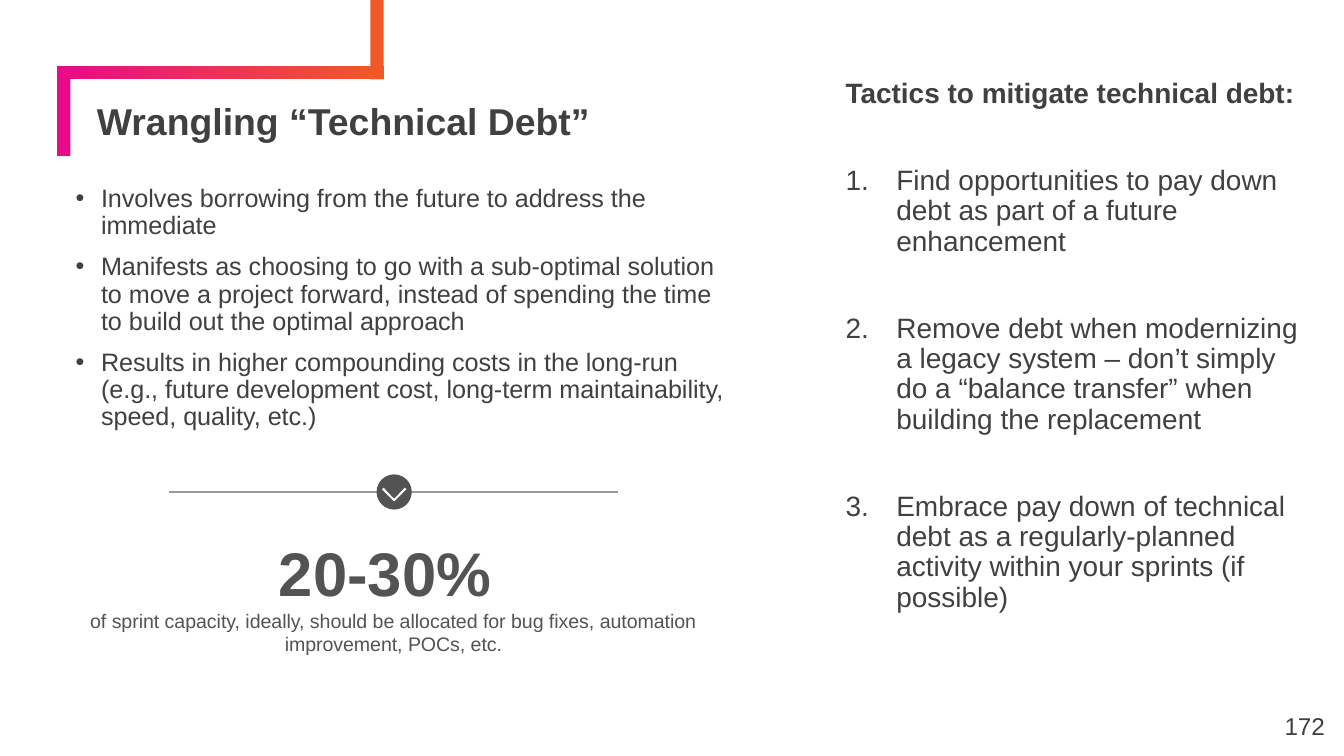
import pptx
import pptx.util
import pptx.dml.color
import pptx.enum.shapes
import pptx.enum.text
import pptx.oxml.ns
import lxml.etree

Cm, Pt = pptx.util.Cm, pptx.util.Pt
RGBColor = pptx.dml.color.RGBColor
Shape = pptx.enum.shapes.MSO_SHAPE
Align = pptx.enum.text.PP_ALIGN
Anchor = pptx.enum.text.MSO_ANCHOR

PINK = RGBColor(0xE8, 0x0A, 0x89)
ORANGE = RGBColor(0xF0, 0x5A, 0x28)
TEXT_GRAY = RGBColor(0x40, 0x40, 0x40)
DARK_GRAY = RGBColor(0x53, 0x53, 0x53)
LINE_GRAY = RGBColor(0x9A, 0x9A, 0x9A)
WHITE = RGBColor(0xFF, 0xFF, 0xFF)


class SlideBuilder:
    font_name = "Arial"

    def __init__(self, slide):
        self.slide = slide

    def frame(self, shape, box, inset=(0, 0), anchor=Anchor.TOP):
        """Place a text shape and return its text frame."""
        shape.left, shape.top, shape.width, shape.height = map(Cm, box)
        frame = shape.text_frame
        frame.word_wrap = True
        frame.auto_size = pptx.enum.text.MSO_AUTO_SIZE.NONE
        frame.vertical_anchor = anchor
        frame.margin_left = frame.margin_right = Cm(inset[0])
        frame.margin_top = frame.margin_bottom = Cm(inset[1])
        return frame

    def placeholder(self, index, box, **options):
        return self.frame(self.slide.placeholders[index], box, **options)

    def text_box(self, box, **options):
        shape = self.slide.shapes.add_textbox(*map(Cm, box))
        return self.frame(shape, box, **options)

    def paragraph(self, frame, text, size, color=TEXT_GRAY, bold=False,
                  align=Align.LEFT, line=1.0, before=0, margin=0, hanging=0, bullet=None):
        first = not frame.paragraphs[0].runs
        paragraph = frame.paragraphs[0] if first else frame.add_paragraph()
        paragraph.alignment = align
        paragraph.line_spacing = line
        paragraph.space_before = Pt(0 if first else before)
        paragraph.space_after = Pt(0)
        # Indents and bullets
        properties = paragraph._p.get_or_add_pPr()
        properties.set("marL", str(Cm(margin)))
        properties.set("indent", str(-Cm(hanging)))
        tag, attributes = bullet or ("a:buNone", {})
        lxml.etree.SubElement(properties, pptx.oxml.ns.qn(tag), attributes)
        run = paragraph.add_run()
        run.text = text
        run.font.name = self.font_name
        run.font.size = Pt(size)
        run.font.bold = bold
        run.font.color.rgb = color

    def shape(self, kind, box, color):
        shape = self.slide.shapes.add_shape(kind, *map(Cm, box))
        return self.paint(shape, color)

    def paint(self, shape, color):
        shape.shadow.inherit = False
        shape.fill.solid()
        shape.fill.fore_color.rgb = color
        shape.line.fill.background()
        return shape

    def gradient_bar(self, box, *colors):
        bar = self.shape(Shape.RECTANGLE, box, colors[0])
        bar.fill.gradient()
        bar.fill.gradient_angle = 0
        for position, (stop, color) in enumerate(zip(bar.fill.gradient_stops, colors)):
            stop.position = position
            stop.color.rgb = color

    def polygon(self, points, color):
        corners = [(Cm(x), Cm(y)) for x, y in points]
        builder = self.slide.shapes.build_freeform(*corners[0])
        builder.add_line_segments(corners[1:], close=True)
        return self.paint(builder.convert_to_shape(), color)

    def line(self, start, end, color, width):
        connector = self.slide.shapes.add_connector(
            pptx.enum.shapes.MSO_CONNECTOR.STRAIGHT, *map(Cm, start + end))
        connector.line.color.rgb = color
        connector.line.width = Pt(width)
        lxml.etree.SubElement(connector._element.spPr, pptx.oxml.ns.qn("a:effectLst"))


def main():
    presentation = pptx.Presentation()
    presentation.slide_width, presentation.slide_height = Cm(25.4), Cm(14.29)
    two_content = presentation.slide_layouts[3]
    builder = SlideBuilder(presentation.slides.add_slide(two_content))

    # Stepped corner bracket
    builder.shape(Shape.RECTANGLE, (1.08, 1.25, 0.25, 1.7), PINK)
    builder.shape(Shape.RECTANGLE, (7, 0, 0.25, 1.5), ORANGE)
    builder.gradient_bar((1.08, 1.25, 6.17, 0.25), PINK, ORANGE)

    # Title
    title = builder.placeholder(0, (1.7, 1.98, 22.94, 0.86),
                                inset=(0.13, 0.13), anchor=Anchor.BOTTOM)
    builder.paragraph(title, "Wrangling “Technical Debt”", 20, bold=True, line=0.9)

    # What technical debt is
    definition = builder.placeholder(1, (1.12, 3.51, 12.62, 4.93))
    for point in (
        "Involves borrowing from the future to address the immediate",
        "Manifests as choosing to go with a sub-optimal solution to move a project "
        "forward, instead of spending the time to build out the optimal approach",
        "Results in higher compounding costs in the long-run (e.g., future development "
        "cost, long-term maintainability, speed, quality, etc.)",
    ):
        builder.paragraph(definition, point, 13.5, line=0.9, before=7.5, margin=0.79,
                          hanging=0.48, bullet=("a:buChar", {"char": "•"}))

    # Numbered tactics
    tactics = builder.placeholder(2, (15.75, 1.5, 9.04, 10.46))
    builder.paragraph(tactics, "Tactics to mitigate technical debt:", 15,
                      bold=True, line=0.9, margin=0.23)
    for tactic in (
        "Find opportunities to pay down debt as part of a future enhancement",
        "Remove debt when modernizing a legacy system – don’t simply do a "
        "“balance transfer” when building the replacement",
        "Embrace pay down of technical debt as a regularly-planned activity within "
        "your sprints (if possible)",
    ):
        builder.paragraph(tactics, tactic, 15, line=0.9, before=30.5, margin=1.19,
                          hanging=0.96, bullet=("a:buAutoNum", {"type": "arabicPeriod"}))

    # Divider with a down chevron in a disc
    center_x, center_y, radius = 7.45, 9.3, 0.32
    builder.line((3.2, center_y), (11.68, center_y), LINE_GRAY, 0.75)
    disc = builder.shape(Shape.OVAL, (center_x - radius, center_y - radius,
                                      2 * radius, 2 * radius), DARK_GRAY)
    disc.line.color.rgb = DARK_GRAY
    disc.line.width = Pt(0.75)
    chevron = ((-0.23, -0.05), (-0.2, -0.08), (0, 0.13), (0.2, -0.08), (0.23, -0.05), (0, 0.18))
    builder.polygon([(center_x + x, center_y + y) for x, y in chevron], WHITE)

    # Sprint capacity figure
    capacity = builder.text_box((1.09, 9.98, 12.7, 2.57), inset=(0.25, 0.13))
    builder.paragraph(capacity, "20-30% ", 33, DARK_GRAY, bold=True, align=Align.CENTER)
    builder.paragraph(capacity, "of sprint capacity, ideally, should be allocated for bug "
                      "fixes, automation improvement, POCs, etc.", 10.5, DARK_GRAY,
                      align=Align.CENTER)

    # Page number
    page_number = builder.text_box((23.77, 13.18, 1.52, 1.09),
                                   inset=(0.25, 0.25), anchor=Anchor.MIDDLE)
    builder.paragraph(page_number, "172", 13, align=Align.RIGHT)

    presentation.save("out.pptx")


if __name__ == "__main__":
    main()
